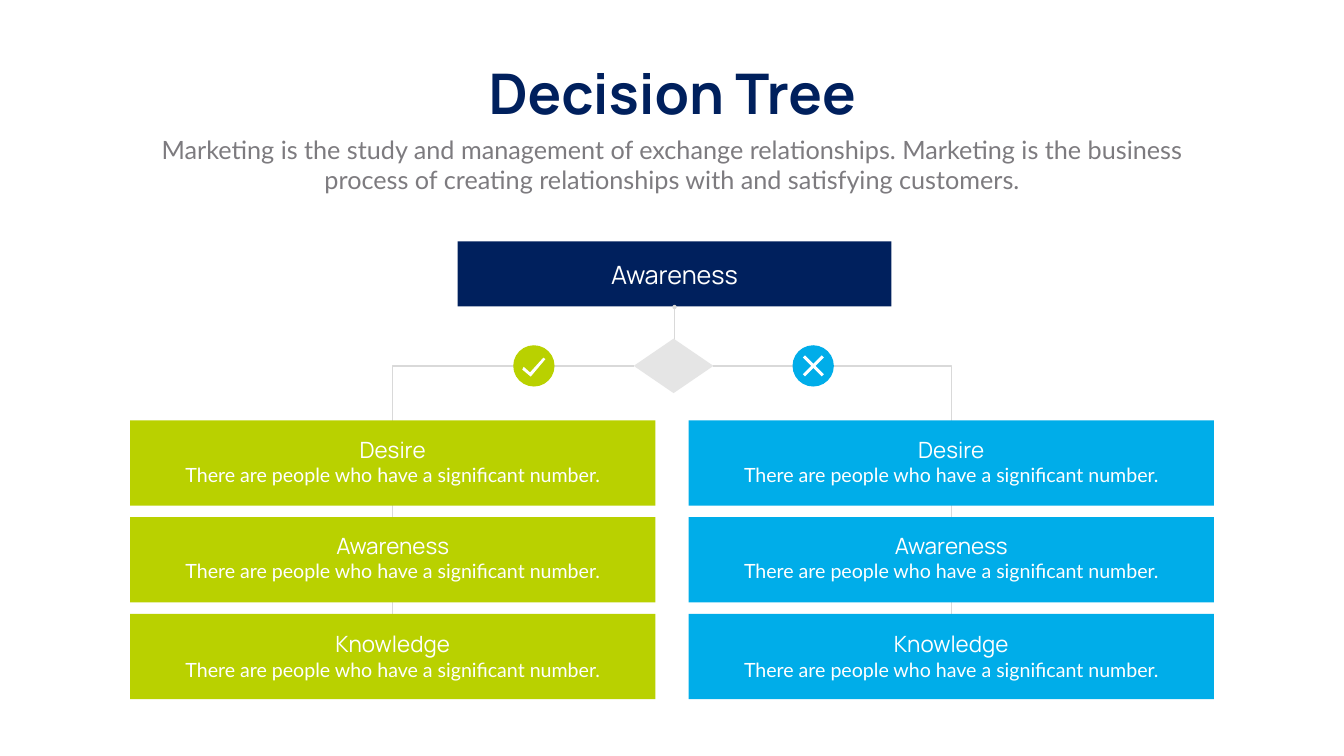
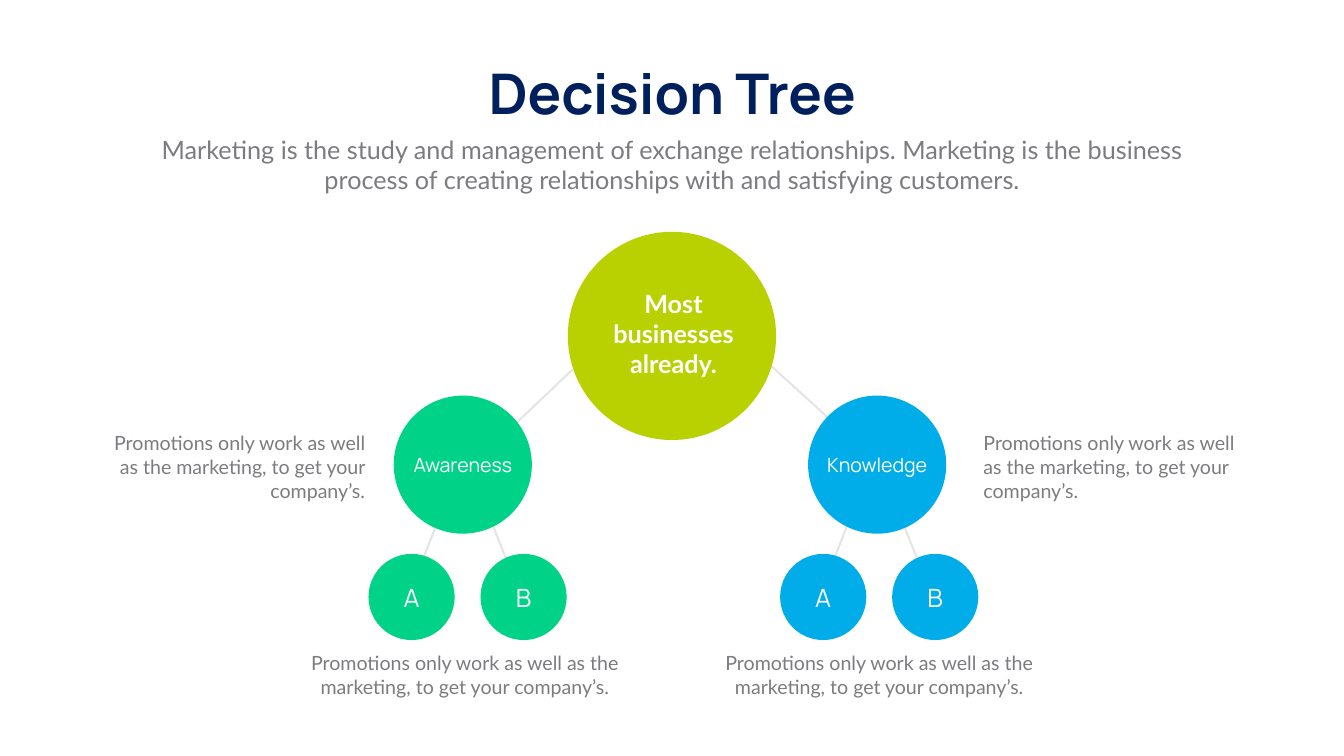
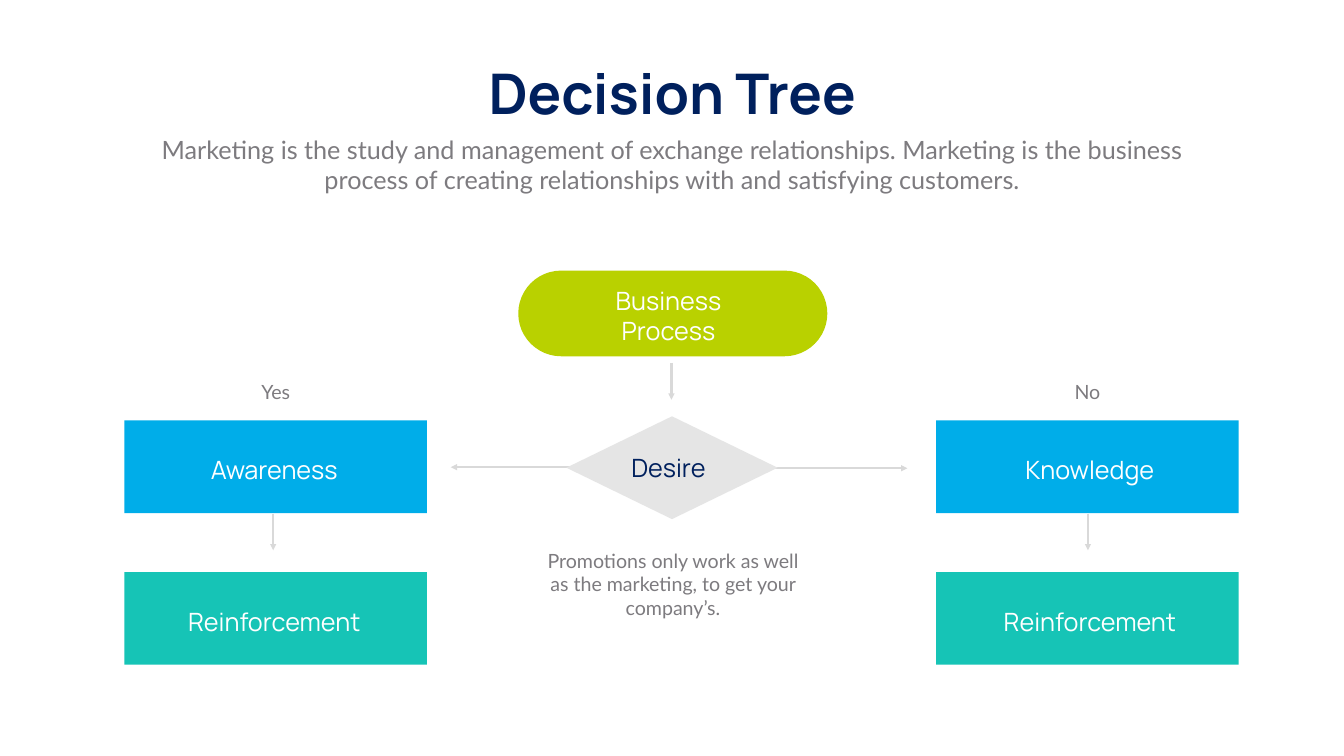
from lxml.etree import SubElement
from pptx import Presentation
from pptx.dml.color import RGBColor
from pptx.enum.shapes import MSO_CONNECTOR, MSO_SHAPE
from pptx.enum.text import MSO_ANCHOR, MSO_AUTO_SIZE, PP_ALIGN
from pptx.oxml.ns import qn
from pptx.util import Pt

# Content
TITLE = "Decision Tree"
INTRO = ("Marketing is the study and management of exchange relationships. "
         "Marketing is the business process of creating relationships with "
         "and satisfying customers.")
NOTE = "Promotions only work as well as the marketing, to get your company’s."
STEP_NOTE = "There are people who have a significant number."
STEPS = [("Desire", 22.3), ("Awareness", 21.6), ("Knowledge", 23.8)]  # name, offset in box
STEP_COLUMNS = [(185.76, "lime"), (983.52, "blue")]  # left, colour
BRANCHES = [
    {"name": "Awareness", "color": "green", "x": 661, "leaf_x": 667.8, "twig_x": 663.5,
     "spoke": (817.9, 527.8, 733, 608.4), "note": (150.5, 378, PP_ALIGN.RIGHT)},
    {"name": "Knowledge", "color": "blue", "x": 1252.8, "leaf_x": 1255.7, "twig_x": 1250.6,
     "spoke": (1096.6, 518.4, 1200.2, 612.7), "note": (1397.5, 383, PP_ALIGN.LEFT)},
]
OUTCOMES = [  # answer, boxes, column centre, label centre, arrow x
    ("Yes", ("Awareness", "Reinforcement"), 393.8, 391.7, 390.2),
    ("No", ("Knowledge", "Reinforcement"), 1553, 1556.6, 1553.8),
]

# Shared style
COLORS = {"navy": "00205D", "lime": "B9D100", "blue": "00ADE9", "green": "00D287",
          "teal": "16C4B6", "diamond": "E5E5E5", "line": "D9D9D9", "text": "7D7B7F",
          "white": "FFFFFF"}
HEAD, BODY = "Manrope", "Lato"
SLIDE_W, SLIDE_H = 1919.52, 1080
MID = SLIDE_W / 2


def rgb(name):
    return RGBColor.from_string(COLORS[name])


def write(shape, text, size, font, color, align=PP_ALIGN.CENTER, bold=False, spacing=None):
    tf = shape.text_frame
    tf.text = text
    p = tf.paragraphs[0]
    p.alignment = align
    if spacing:
        p.line_spacing = Pt(spacing)
    p.font.size, p.font.name, p.font.bold = Pt(size), font, bold
    p.font.color.rgb = rgb(color)
    return tf


def paint(shape, color):
    shape.shadow.inherit = False
    shape.fill.solid()
    shape.fill.fore_color.rgb = rgb(color)
    shape.line.fill.background()
    return shape


def box(s, kind, x, y, w, h, color):
    return paint(s.shapes.add_shape(kind, Pt(x), Pt(y), Pt(w), Pt(h)), color)


def centred(s, kind, cx, cy, w, h, color):
    return box(s, kind, cx - w / 2, cy - h / 2, w, h, color)


def circle(s, cx, cy, d, color):
    return centred(s, MSO_SHAPE.OVAL, cx, cy, d, d, color)


def label(s, text, cx, y, w, h, size=28, font=BODY, color="text", **style):
    tb = s.shapes.add_textbox(Pt(cx - w / 2), Pt(y), Pt(w), Pt(h))
    tf = write(tb, text, size, font, color, **style)
    tf.word_wrap = True
    return tf


def line(s, x1, y1, x2, y2, color="line", width=3, head=None, tail=None, bent=False):
    kind = MSO_CONNECTOR.ELBOW if bent else MSO_CONNECTOR.STRAIGHT
    cn = s.shapes.add_connector(kind, Pt(x1), Pt(y1), Pt(x2), Pt(y2))
    cn.line.width = Pt(width)
    cn.line.color.rgb = rgb(color)
    sp_pr = cn._element.spPr
    for tag, end in (("a:headEnd", head), ("a:tailEnd", tail)):
        if end:
            SubElement(sp_pr.find(qn("a:ln")), qn(tag), type=end)
    if bent:  # one corner only: across, then down
        sp_pr.find(qn("a:prstGeom")).set("prst", "bentConnector2")
    SubElement(sp_pr, qn("a:effectLst"))


def new_slide(prs):
    s = prs.slides.add_slide(prs.slide_layouts[5])
    title = s.shapes.title
    title.left, title.top, title.width, title.height = Pt(675.4), Pt(80.64), Pt(569.5), Pt(104.4)
    tf = write(title, TITLE, 80, HEAD, "navy", bold=True)
    tf.word_wrap = False
    tf.auto_size = MSO_AUTO_SIZE.NONE
    tf.vertical_anchor = MSO_ANCHOR.TOP
    label(s, INTRO, MID, 187.92, 1499, 94.3, size=36)
    return s


def steps_slide(prs):
    s = new_slide(prs)
    col_w, row_h, top, step = 750.24, 121.68, 600.48, 138.24
    fork_x, fork_y = 962, 522.7
    root = box(s, MSO_SHAPE.RECTANGLE, 653.76, 344.88, 619.2, 92.88, "navy")
    write(root, "Awareness", 36, HEAD, "white").vertical_anchor = MSO_ANCHOR.MIDDLE

    # Two columns of steps hanging from the fork
    for (x, color), side in zip(STEP_COLUMNS, (-1, 1)):
        cx = x + col_w / 2
        line(s, fork_x + side * 56.9, fork_y, cx, 877, width=2, bent=True)
        for i, (name, dy) in enumerate(STEPS):
            y = top + i * step
            box(s, MSO_SHAPE.RECTANGLE, x, y, col_w, row_h, color)
            label(s, STEP_NOTE, cx, y + dy + 35.28, 614.16, 41, color="white")
            tf = label(s, name, cx, y + dy, 350.6, 38.9, 32, HEAD, "white")
            tf.margin_left = tf.margin_right = tf.margin_top = tf.margin_bottom = 0

    # Fork
    line(s, 963.4, 438.5, 963.4, 506.9, width=2, head="oval")
    centred(s, MSO_SHAPE.DIAMOND, fork_x, fork_y, 113.8, 77.8, "diamond")

    # Yes and no badges
    circle(s, 762.5, fork_y, 59, "lime")
    tick = [(776.2, 511.2), (779, 513.4), (758.2, 537.8),
            (745.9, 527.8), (748.1, 524.2), (757.4, 532.1)]
    fb = s.shapes.build_freeform(*tick[0], scale=Pt(1))
    fb.add_line_segments(tick[1:], close=True)
    paint(fb.convert_to_shape(), "white")
    circle(s, 1161.4, fork_y, 59, "blue")
    for angle in (45, 315):
        centred(s, MSO_SHAPE.RECTANGLE, 1161.6, fork_y, 38.2, 4.3, "white").rotation = angle


def circles_slide(prs):
    s = new_slide(prs)
    for b in BRANCHES:
        line(s, *b["spoke"], color="diamond")
        for side, letter in ((-1, "A"), (1, "B")):
            line(s, b["twig_x"] + side * 28.6, 720.7, b["twig_x"] + side * 62, 805,
                 color="diamond")
            leaf = circle(s, b["leaf_x"] + side * 80, 852.8, 123.1, b["color"])
            write(leaf, letter, 36, HEAD, "white").vertical_anchor = MSO_ANCHOR.MIDDLE
        circle(s, b["x"], 663.8, 197.3, b["color"])
        label(s, b["name"], b["x"], 643.7, 208.8, 41, 28, HEAD, "white")
        x, w, align = b["note"]
        label(s, NOTE, x + w / 2, 612.7, w, 108.7, align=align)
        label(s, NOTE, b["x"] + 2.8, 926.6, 494.6, 74.9)

    # Hub
    circle(s, MID, 479.9, 297.4, "lime")
    label(s, "Most businesses already.", 961.9, 408.2, 236.2, 138.2, 36, color="white", bold=True)


def flow_slide(prs):
    s = new_slide(prs)
    # Start and decision
    start = box(s, MSO_SHAPE.ROUNDED_RECTANGLE, 740.2, 386.6, 441.4, 122.4, "lime")
    start.adjustments[0] = 0.5
    label(s, "Business Process", 954.7, 403.9, 244.8, 94.3, 36, HEAD, "white")
    for ends in ((835.9, 667.4, 643.7, 667.4), (1105.2, 668.9, 1296, 668.9),
                 (959, 518.4, 959, 571)):
        line(s, *ends, tail="triangle")
    centred(s, MSO_SHAPE.DIAMOND, MID, 668.2, 301.7, 146.9, "diamond")
    label(s, "Desire", 954.7, 643, 244.8, 51.1, 36, HEAD, "navy")
    label(s, NOTE, 961.2, 780.5, 381.6, 108.7)

    # Outcomes
    for answer, names, cx, label_x, arrow_x in OUTCOMES:
        label(s, answer, cx, 532.1, 356.4, 44.6, spacing=40.8)
        for name, y, color in zip(names, (600.5, 817.2), ("blue", "teal")):
            box(s, MSO_SHAPE.RECTANGLE, cx - 216, y, 432, 132.5, color)
            label(s, name, label_x, y + 45, 381.6, 51.1, 36, HEAD, "white")
        line(s, arrow_x, 733.7, arrow_x, 786.2, tail="triangle")


def main():
    prs = Presentation()
    prs.slide_width, prs.slide_height = Pt(SLIDE_W), Pt(SLIDE_H)
    steps_slide(prs)
    circles_slide(prs)
    flow_slide(prs)
    prs.save("out.pptx")


if __name__ == "__main__":
    main()
